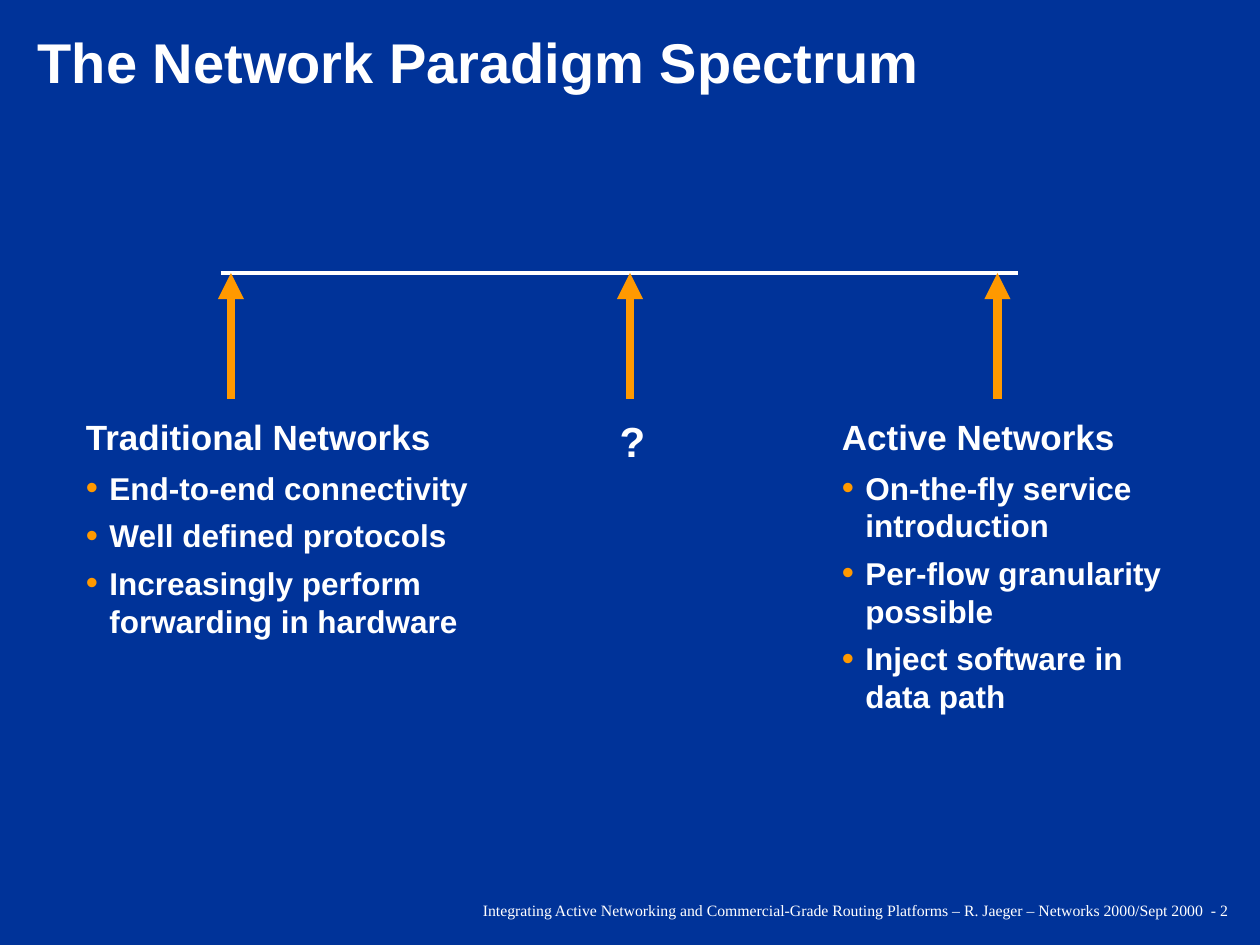
"""Build the network paradigm spectrum slide."""
from lxml import etree
from pptx import Presentation
from pptx.dml.color import RGBColor
from pptx.enum import shapes, text
from pptx.oxml import ns
from pptx.util import Pt

BACKGROUND, WHITE, ORANGE = "003399", "FFFFFF", "FF9900"
TITLE = "The Network Paradigm Spectrum"
FOOTER = ("Integrating Active Networking and Commercial-Grade Routing Platforms"
          " – R. Jaeger – Networks 2000/Sept 2000  - 2")
PARADIGMS = [
    ((42, 234, 235, 135), "Traditional Networks",
     ["End-to-end connectivity", "Well defined protocols",
      "Increasingly perform forwarding in hardware"]),
    ((474, 234, 210, 178), "Active Networks",
     ["On-the-fly service introduction", "Per-flow granularity possible",
      "Inject software in data path"]),
]
AXIS_LEFT, AXIS_RIGHT, AXIS_Y, ARROW_BASE = 126, 582, 156, 228
ARROW_POSITIONS = [132, 360, 570]
INDENT = 13.5


def color(value):
    return RGBColor.from_string(value)


def add_element(parent, tag, **attributes):
    return etree.SubElement(parent, ns.qn(tag), attributes)


def add_line(slide, start, end, line_color, width, arrow=False):
    line = slide.shapes.add_connector(
        shapes.MSO_CONNECTOR.STRAIGHT, *(Pt(value) for value in start + end))
    line.line.color.rgb = color(line_color)
    line.line.width = Pt(width)
    if arrow:
        add_element(line.line._get_or_add_ln(), "a:tailEnd", type="triangle")
    add_element(line._element.spPr, "a:effectLst")


def add_box(slide, box, margins=(7.2, 3.6), wrap=True):
    frame = slide.shapes.add_textbox(*(Pt(value) for value in box)).text_frame
    frame.word_wrap = wrap
    frame.margin_left = frame.margin_right = Pt(margins[0])
    frame.margin_top = frame.margin_bottom = Pt(margins[1])
    return frame


def set_font(paragraph, size, name="Arial", bold=True):
    font = paragraph.font
    font.name, font.size, font.bold = name, Pt(size), bold
    font.color.rgb = color(WHITE)


def add_bullet(paragraph):
    properties = paragraph._p.get_or_add_pPr()
    properties.set("marL", str(Pt(INDENT)))
    properties.set("indent", str(-Pt(INDENT)))
    add_element(add_element(properties, "a:buClr"), "a:srgbClr", val=ORANGE)
    add_element(properties, "a:buSzPct", val="110000")
    add_element(properties, "a:buFont", typeface="Arial")
    add_element(properties, "a:buChar", char="•")


def add_paradigm(slide, box, heading, points):
    frame = add_box(slide, box)
    paragraph = frame.paragraphs[0]
    paragraph.text = heading
    paragraph.space_after = Pt(6.2)
    set_font(paragraph, 20)
    for point in points:
        paragraph = frame.add_paragraph()
        paragraph.text = point
        paragraph.space_after = Pt(5.6)
        add_bullet(paragraph)
        set_font(paragraph, 18)


def main():
    presentation = Presentation()
    presentation.slide_width, presentation.slide_height = Pt(720), Pt(540)
    slide = presentation.slides.add_slide(presentation.slide_layouts[6])
    slide.background.fill.solid()
    slide.background.fill.fore_color.rgb = color(BACKGROUND)

    title = add_box(slide, (18, 20, 688, 35), margins=(3.6, 0)).paragraphs[0]
    title.text = TITLE
    title.line_spacing = 0.9
    set_font(title, 32)

    add_line(slide, (AXIS_LEFT, AXIS_Y), (AXIS_RIGHT, AXIS_Y), WHITE, 2)
    for x in ARROW_POSITIONS:
        add_line(slide, (x, ARROW_BASE), (x, AXIS_Y), ORANGE, 5, arrow=True)
    for paradigm in PARADIGMS:
        add_paradigm(slide, *paradigm)

    frame = add_box(slide, (347, 234, 28.5, 36), wrap=False)
    frame.vertical_anchor = text.MSO_ANCHOR.MIDDLE
    question = frame.paragraphs[0]
    question.text = "?"
    question.alignment = text.PP_ALIGN.CENTER
    set_font(question, 24)

    footer = add_box(slide, (150, 511, 558, 19), margins=(6.5, 3.6)).paragraphs[0]
    footer.text = FOOTER
    footer.alignment = text.PP_ALIGN.RIGHT
    set_font(footer, 9, "Times New Roman", bold=False)

    presentation.save("out.pptx")


if __name__ == "__main__":
    main()
